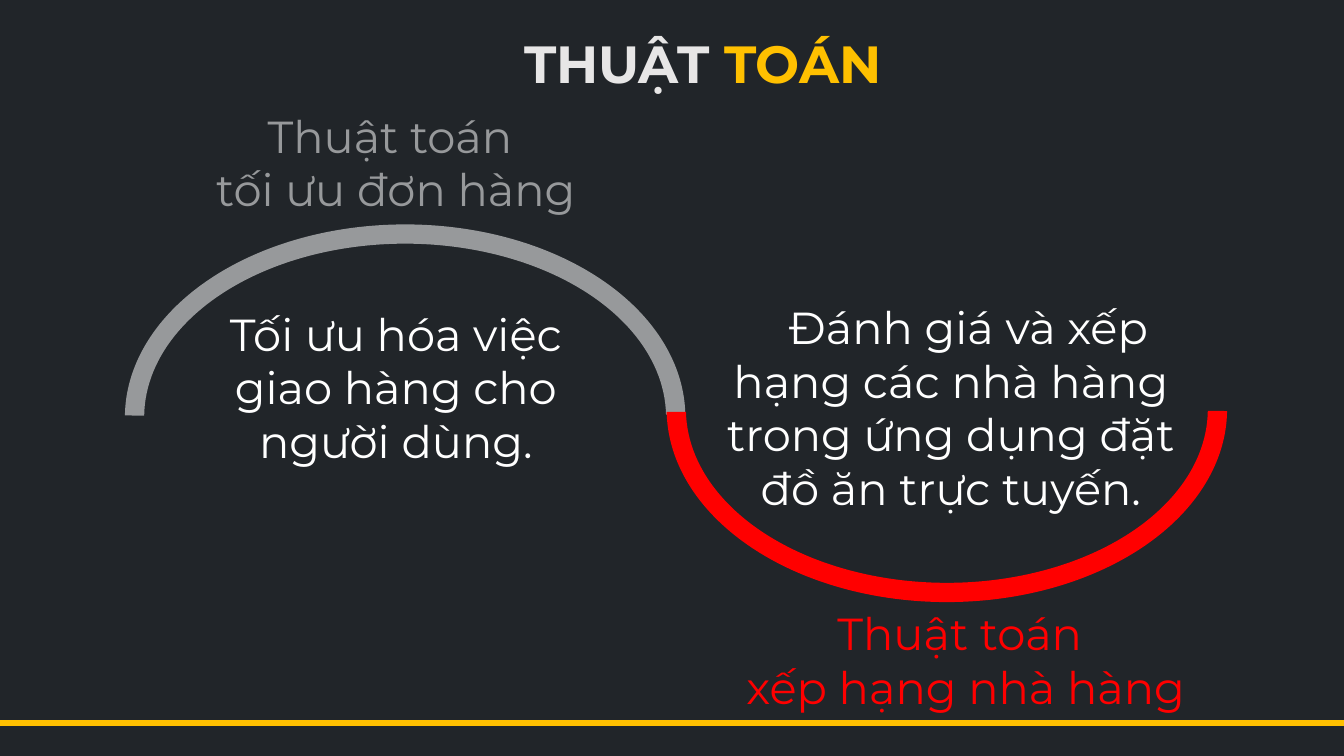
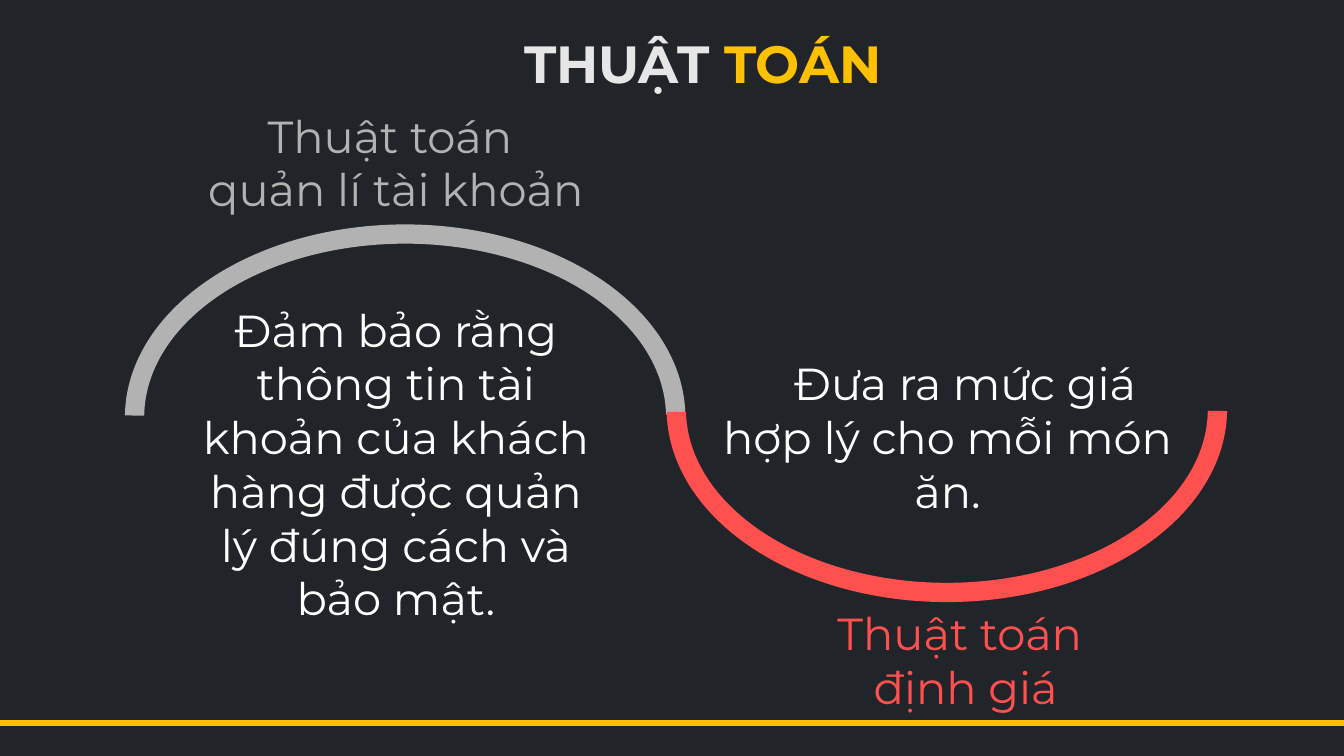
from dataclasses import dataclass

from lxml import etree
from pptx import Presentation
from pptx.dml.color import RGBColor
from pptx.enum.shapes import MSO_CONNECTOR, MSO_SHAPE
from pptx.enum.text import MSO_ANCHOR, MSO_AUTO_SIZE, PP_ALIGN
from pptx.oxml.ns import qn
from pptx.util import Inches, Pt

ARC = MSO_SHAPE.BLOCK_ARC
LINE = MSO_CONNECTOR.STRAIGHT
TOP, MIDDLE = MSO_ANCHOR.TOP, MSO_ANCHOR.MIDDLE
LEFT, CENTER = PP_ALIGN.LEFT, PP_ALIGN.CENTER
NO_FIT = MSO_AUTO_SIZE.NONE


@dataclass(frozen=True)
class Theme:
    font: str = "Montserrat"
    back: str = "212529"
    text: str = "FFFFFF"
    pale: str = "E7E6E6"
    gold: str = "FFC000"
    head: int = 28
    body: int = 24
    rule: int = 3


T = Theme()


def style(run, size, color, bold=False):
    run.font.name = T.font
    run.font.size = Pt(size)
    run.font.bold = bold
    run.font.color.rgb = RGBColor.from_string(color)


def add_text(slide, box, lines, color, anchor=TOP, indent=0):
    frame = slide.shapes.add_textbox(*map(Inches, box)).text_frame
    frame.word_wrap = True
    frame.vertical_anchor = anchor
    for i, line in enumerate(lines):
        para = frame.paragraphs[0] if i == 0 else frame.add_paragraph()
        para.text = line
        para.alignment = CENTER
        if indent:
            para._p.get_or_add_pPr().set("indent", str(Inches(indent)))
        style(para.runs[0], T.body, color)


# Places of the two halves of the wave: arc, turn, label, first-line indent
HALVES = [
    ((0.93, 1.67, 4.17, 2.87), 0, (1.19, 0.75, 3.51, 0.91), 0),
    ((4.96, 1.61, 4.17, 2.87), 180, (5.36, 4.45, 3.65, 0.91), 0.26),
]

# Per slide, for each half: color, label, note box, note
PAGES = [
    [
        ("97999B", "tối ưu đơn hàng", (1.3, 2.23, 3.29, 1.31),
         "Tối ưu hóa việc giao hàng cho người dùng."),
        ("FF0000", "xếp hạng nhà hàng", (5.11, 2.18, 3.93, 1.72),
         "Đánh giá và xếp hạng các nhà hàng trong ứng dụng đặt đồ ăn trực tuyến."),
    ],
    [
        ("B2B2B2", "quản lí tài khoản", (1.3, 2.2, 3.29, 2.52),
         "Đảm bảo rằng thông tin tài khoản của khách hàng được quản lý "
         "đúng cách và bảo mật."),
        ("FF5050", "định giá", (5.21, 2.6, 3.68, 1.31),
         "Đưa ra mức giá hợp lý cho mỗi món ăn."),
    ],
]

prs = Presentation()
prs.slide_width = Inches(10)
prs.slide_height = Inches(10 * 9 / 16)

# Shared background
fill = prs.slide_master.background.fill
fill.solid()
fill.fore_color.rgb = RGBColor.from_string(T.back)

for page in PAGES:
    slide = prs.slides.add_slide(prs.slide_layouts[5])

    # Title in two colors
    title = slide.shapes.title
    title.left, title.top = Inches(3.8), Inches(0.18)
    title.width, title.height = Inches(5.01), Inches(0.57)
    frame = title.text_frame
    frame.auto_size = NO_FIT
    frame.vertical_anchor = TOP
    para = frame.paragraphs[0]
    para.alignment = LEFT
    for word, color in (("THUẬT ", T.pale), ("TOÁN", T.gold)):
        run = para.add_run()
        run.text = word
        style(run, T.head, color, True)

    # Wave halves with label and note
    for (place, turn, spot, indent), (color, label, box, note) in zip(HALVES, page):
        arc = slide.shapes.add_shape(ARC, *map(Inches, place))
        arc.shadow.inherit = False
        arc.rotation = turn
        for i, value in enumerate((108.22, 215.66, 0.05)):
            arc.adjustments[i] = value
        arc.fill.solid()
        arc.fill.fore_color.rgb = RGBColor.from_string(color)
        arc.line.fill.background()
        add_text(slide, spot, ["Thuật toán ", label], color, MIDDLE)
        add_text(slide, box, [note], T.text, indent=indent)

    # Bottom rule
    rule = slide.shapes.add_connector(
        LINE, 0, Inches(5.38), prs.slide_width, Inches(5.38))
    rule.line.color.rgb = RGBColor.from_string(T.gold)
    rule.line.width = Pt(T.rule)
    etree.SubElement(rule._element.spPr, qn("a:effectLst"))

prs.save("out.pptx")
